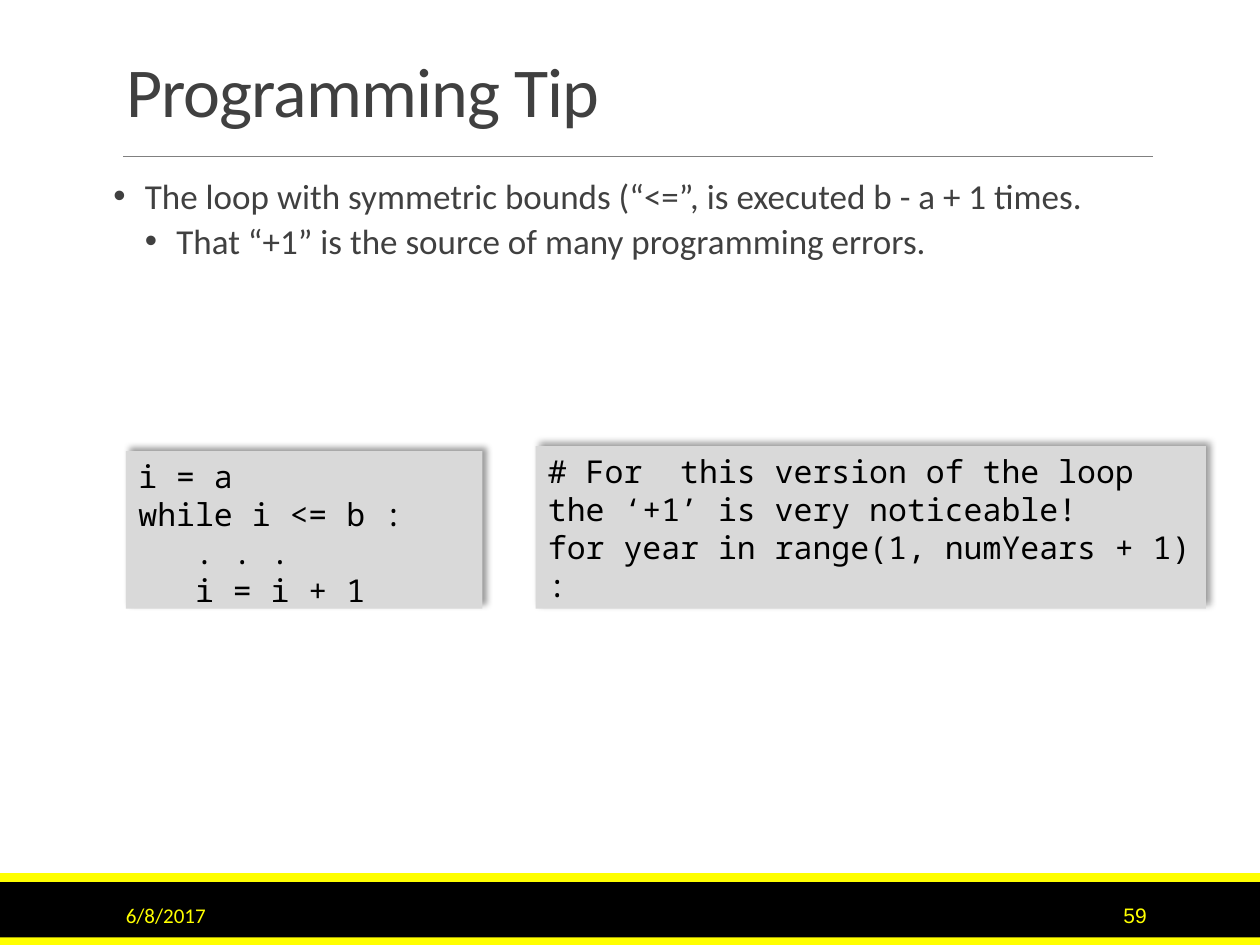
from lxml import etree
from pptx import Presentation
from pptx import util as u
from pptx.dml.color import RGBColor
from pptx.enum import shapes, text
from pptx.oxml import parse_xml
from pptx.oxml.ns import nsdecls, qn

COLUMNS, ROWS = 100, 75
BLACK, YELLOW, INK, GREY, PANEL = "000000", "FFFF00", "404040", "808080", "D9D9D9"
BODY_FONT, NUMBER_FONT, CODE_FONT = "Calibri", "Arial", "Noto Sans Mono"
CODE_INDENT = 0.45  # three monospaced characters at 18 pt


def color(value):
    return RGBColor.from_string(value)


class SlideBuilder:
    """Holds the style and the current slide; lengths are grid columns and rows."""

    def __init__(self, deck):
        self.cell_width = deck.slide_width / COLUMNS
        self.cell_height = deck.slide_height / ROWS
        self.page = deck.slides.add_slide(deck.slide_layouts[1])

    def area(self, left, top, width, height):
        return (round(left * self.cell_width), round(top * self.cell_height),
                round(width * self.cell_width), round(height * self.cell_height))

    def place(self, box, area):
        box.left, box.top, box.width, box.height = self.area(*area)

    def style(self, para, size, font, ink, align=text.PP_ALIGN.LEFT):
        para.font.size, para.font.name = u.Pt(size), font
        para.font.color.rgb = color(ink)
        para.alignment = align

    def indent(self, para, left, first=0):
        props = para._p.get_or_add_pPr()
        props.set("marL", str(u.Inches(left)))
        props.set("indent", str(u.Inches(first)))
        return props

    def title(self, words, area):
        box = self.page.shapes.title
        self.place(box, area)
        frame = box.text_frame
        frame.text = words
        frame.auto_size = text.MSO_AUTO_SIZE.NONE
        frame.vertical_anchor = text.MSO_ANCHOR.BOTTOM
        para = frame.paragraphs[0]
        self.style(para, 40, BODY_FONT, INK)
        para.line_spacing = 0.85
        para.runs[0].font._element.set("spc", "-50")

    def bullets(self, items, area):
        box = self.page.placeholders[1]
        self.place(box, area)
        frame = box.text_frame
        frame.text = "\n".join(words for words, *_ in items)
        frame.auto_size = text.MSO_AUTO_SIZE.NONE
        frame.margin_left = frame.margin_right = 0
        for para, (_, level, before, after) in zip(frame.paragraphs, items):
            para.level = level
            para.line_spacing = 0.9
            para.space_before, para.space_after = u.Pt(before), u.Pt(after)
            self.style(para, 20, BODY_FONT, INK)
            props = self.indent(para, 0.25 * (level + 1), -0.25)
            etree.SubElement(props, qn("a:buFont")).set("typeface", "Arial")
            etree.SubElement(props, qn("a:buChar")).set("char", "\u2022")

    def band(self, area, fill):
        box = self.page.shapes.add_shape(shapes.MSO_SHAPE.RECTANGLE, *self.area(*area))
        box.shadow.inherit = False
        box.fill.solid()
        box.fill.fore_color.rgb = color(fill)
        box.line.fill.background()
        return box

    def rule(self, left, right, top):
        start, level, length, _ = self.area(left, top, right - left, 0)
        line = self.page.shapes.add_connector(
            shapes.MSO_CONNECTOR.STRAIGHT, start, level, start + length, level)
        line.line.color.rgb = color(GREY)
        line.line.width = u.Pt(0.5)
        etree.SubElement(line._element.spPr, qn("a:effectLst"))

    def code(self, lines, area):
        box = self.band(area, PANEL)
        effects = box._element.spPr.find(qn("a:effectLst"))
        effects.append(parse_xml(
            f'<a:outerShdw {nsdecls("a")} blurRad="{u.Pt(4)}" dist="{u.Pt(3)}" '
            f'dir="{315 * 60000}" algn="bl" rotWithShape="0"><a:srgbClr val="{BLACK}">'
            '<a:alpha val="40000"/></a:srgbClr></a:outerShdw>'))
        frame = box.text_frame
        frame.word_wrap = True
        frame.vertical_anchor = text.MSO_ANCHOR.TOP
        frame.text = "\n".join(words for words, _ in lines)
        for para, (_, depth) in zip(frame.paragraphs, lines):
            self.style(para, 18, CODE_FONT, BLACK)
            self.indent(para, depth * CODE_INDENT)

    def footer(self, words, area, font, align):
        frame = self.page.shapes.add_textbox(*self.area(*area)).text_frame
        frame.word_wrap = True
        frame.vertical_anchor = text.MSO_ANCHOR.MIDDLE
        frame.text = words
        self.style(frame.paragraphs[0], 12, font, YELLOW, align)


deck = Presentation()
deck.slide_width, deck.slide_height = u.Inches(10), u.Inches(7.5)
slide = SlideBuilder(deck)

# Footer bands and title rule
slide.band((0, 70, COLUMNS, 5), BLACK)
for top in (69.3, 74.4):
    slide.band((0, top, COLUMNS, 0.7), YELLOW)
slide.rule(9.8, 91.5, 12.4)

# Title and bullets: words, level, space before, space after
slide.title("Programming Tip", (9, 3.1, 82.5, 7.9))
slide.bullets([
    ("The loop with symmetric bounds (\u201c<=\u201d, is executed b - a + 1 times.", 0, 12, 2),
    ("That \u201c+1\u201d is the source of many programming errors.", 1, 2, 4),
], (9, 13.7, 82.5, 12.1))

# Code panels: words, indent depth
slide.code([("i = a", 0), ("while i <= b :", 0), (". . .", 1), ("i = i + 1", 1)],
           (10, 35.8, 28.3, 12.5))
slide.code([
    ("# For  this version of the loop the \u2018+1\u2019 is very noticeable!", 0),
    ("for year in range(1, numYears + 1) :", 0),
], (42.5, 35.4, 53.2, 12.9))

# Page number and date
slide.footer("59", (81.2, 70.6, 10.8, 4), NUMBER_FONT, text.PP_ALIGN.RIGHT)
slide.footer("6/8/2017", (9, 70.6, 20.3, 4), BODY_FONT, text.PP_ALIGN.LEFT)

deck.save("out.pptx")
